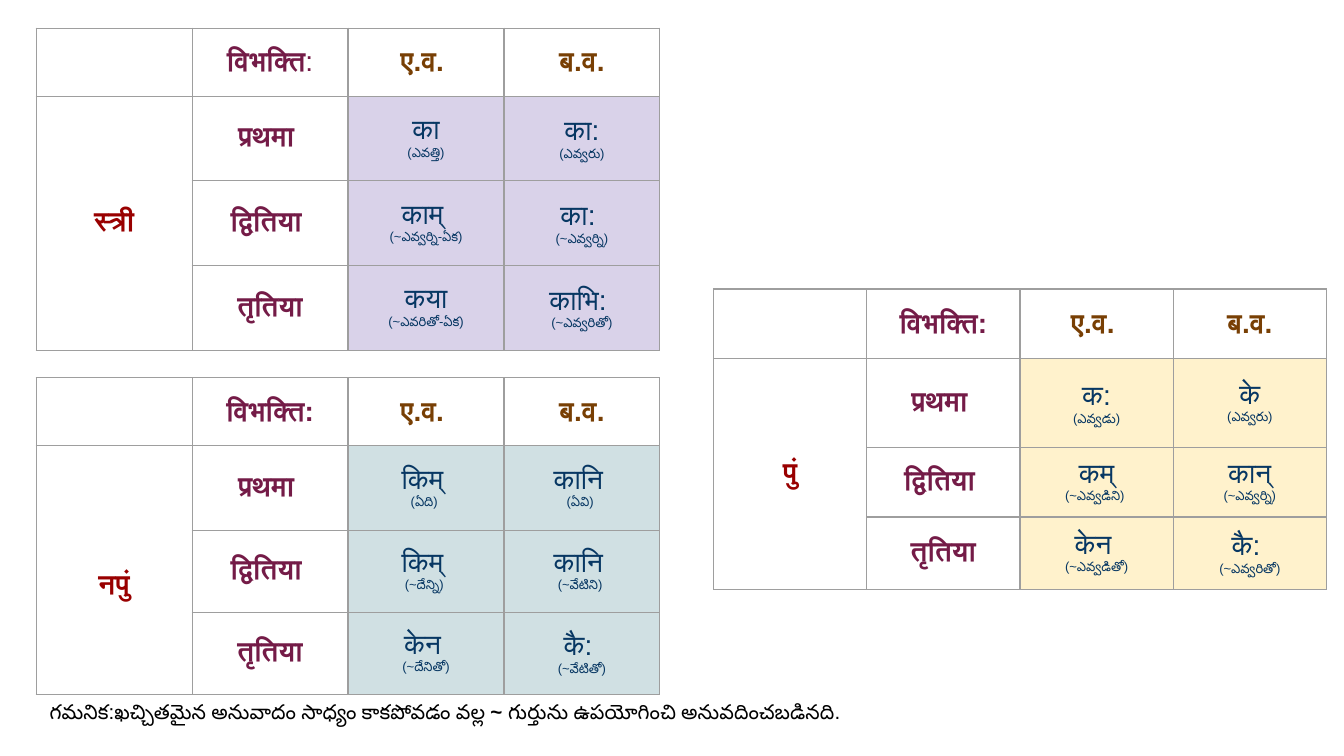
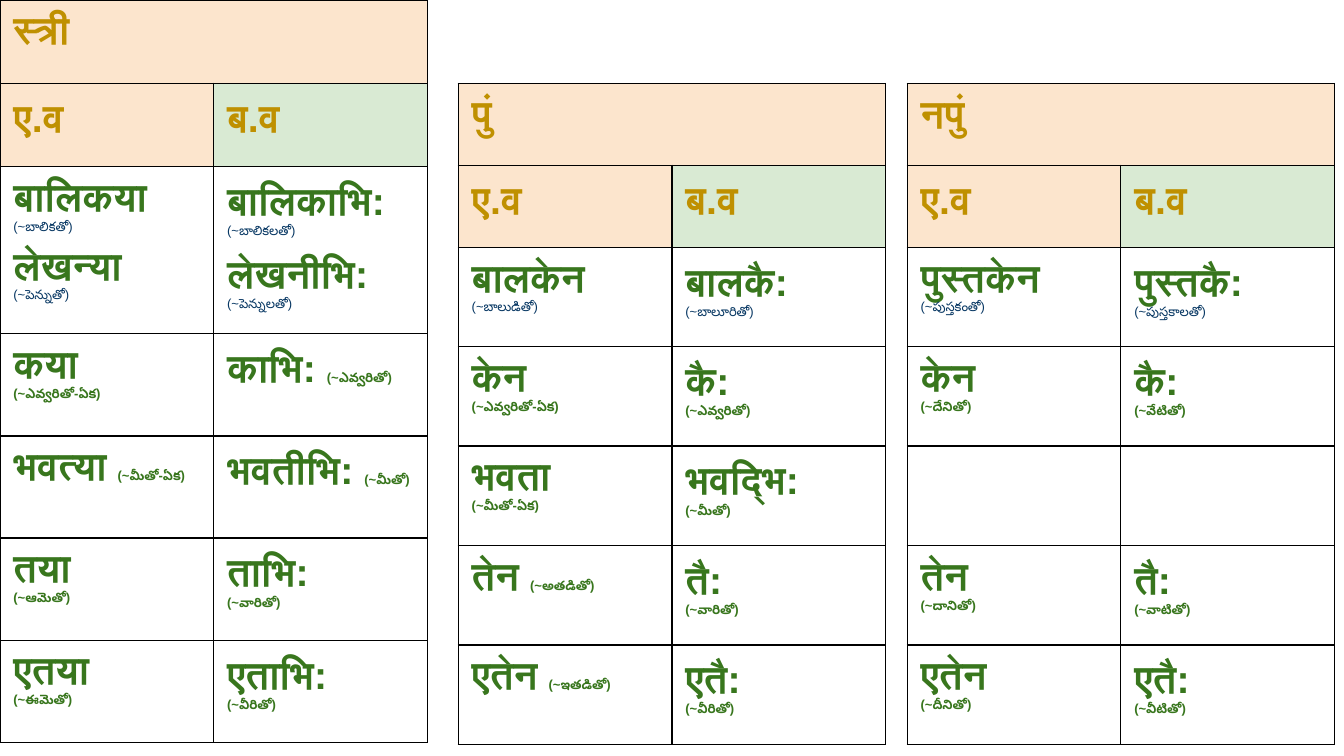
"""Build two slides of Sanskrit case tables with Telugu glosses."""
from typing import NamedTuple

from lxml.etree import SubElement as Sub
from pptx import Presentation
from pptx.dml.color import RGBColor as Rgb
from pptx.enum.text import MSO_ANCHOR as Anchor
from pptx.enum.text import MSO_AUTO_SIZE as Auto
from pptx.enum.text import PP_ALIGN as Align
from pptx.oxml.ns import qn
from pptx.util import Inches, Pt

FONT = "Arial"
HEX = {
    "plum": "741B47", "brown": "783F04", "red": "990000", "navy": "073763",
    "lilac": "D9D2E9", "teal": "D0E0E3", "cream": "FFF2CC", "grey": "9E9E9E",
    "gold": "BF9000", "green": "38761D", "peach": "FCE5CD", "mint": "D9EAD3",
    "black": "000000",
}
WIDE = Inches(10)
PAD = Inches(0.1)
CASES = ("प्रथमा ", "द्वितिया ", "तृतिया")


class Style(NamedTuple):
    size: float
    color: str
    bold: bool = True


class Part(NamedTuple):
    text: str
    style: Style


class Case(NamedTuple):
    """A table of three cases for one gender."""
    left: float
    top: float
    width: float
    rows: tuple[float, ...]
    gender: str
    fill: str
    forms: tuple[tuple[str, str], ...]
    colon: bool = True
    drop: float = 0


class Word(NamedTuple):
    """A table of instrumental forms for one gender."""
    left: float
    top: float
    rows: tuple[float, ...]
    gender: str
    forms: tuple[tuple[str, str], ...]


LABEL = Style(15, "plum")
COUNT = Style(15, "brown")
KIND = Style(15, "red")
FORM = Style(15, "navy", False)
GLOSS = Style(7, "navy", False)
TITLE = Style(21, "gold")
TERM = Style(21, "green")
HINT = Style(7, "green")
NOTE = Style(11, "black", False)

CASE_SET = (
    Case(5.31, 2.15, 1.14, (0.52, 0.66, 0.41, 0.41), "पुं", "cream", (
        ("क:\n(ఎవ్వడు)", "के\n(ఎవ్వరు)"),
        ("कम्\n(~ఎవ్వడిని) ", "कान्\n(~ఎవ్వర్ని)"),
        ("केन \n(~ఎవ్వడితో)", "कै: \n(~ఎవ్వరితో)"))),
    Case(0.27, 0.21, 1.16, (0.49, 0.63, 0.63, 0.63), "स्त्री", "lilac", (
        ("का\n(ఎవత్తి)", "का:\n(ఎవ్వరు)"),
        ("काम् \n(~ఎవ్వర్ని-ఏక)", "का: \n(~ఎవ్వర్ని)"),
        ("कया\n(~ఎవరితో-ఏక)", "काभि: \n(~ఎవ్వరితో)")), colon=False),
    Case(0.27, 2.81, 1.16, (0.5, 0.63, 0.61, 0.61), "नपुं", "teal", (
        ("किम् \n(ఏది) ", "कानि \n(ఏవి) "),
        ("किम् \n(~దేన్ని) ", "कानि \n(~వేటిని) "),
        ("केन \n(~దేనితో)", "कै: \n(~వేటితో)")), drop=0.24),
)

LOW = (0.61,) * 2 + (0.74,) * 5
WORD_SET = (
    Word(0, 0, (0.62, 0.62, 1.24) + (0.76,) * 4, "स्त्री", (
        ("बालिकया\n(~బాలికతో)\nलेखन्या\n(~పెన్నుతో)",
         "बालिकाभि:\n(~బాలికలతో)\nलेखनीभि:\n(~పెన్నులతో)"),
        ("कया\n(~ఎవ్వరితో-ఏక)", "काभि: (~ఎవ్వరితో)"),
        ("भवत्या (~మీతో-ఏక)", "भवतीभि: (~మీతో)"),
        ("तया\n(~ఆమెతో)", "ताभि:\n(~వారితో)"),
        ("एतया\n(~ఈమెతో)", "एताभि:\n(~వీరితో)"))),
    Word(3.41, 0.62, LOW, "पुं", (
        ("बालकेन\n(~బాలుడితో)", "बालकै:\n(~బాలూరితో)"),
        ("केन\n(~ఎవ్వరితో-ఏక)", "कै:\n(~ఎవ్వరితో)"),
        ("भवता\n(~మీతో-ఏక)", "भवद्भि:\n(~మీతో)"),
        ("तेन (~అతడితో)", "तै:\n(~వారితో)"),
        ("एतेन (~ఇతడితో)", "एतै:\n(~వీరితో)"))),
    Word(6.75, 0.62, LOW, "नपुं", (
        ("पुस्तकेन\n(~పుస్తకంతో)", "पुस्तकै:\n(~పుస్తకాలతో)"),
        ("केन\n(~దేనితో)", "कै:\n(~వేటితో)"),
        ("", ""),
        ("तेन\n(~దానితో)", "तै:\n(~వాటితో)"),
        ("एतेन\n(~దీనితో)", "एतै:\n(~వీటితో)"))),
)


def dress(run, style: Style) -> None:
    font = run.font
    font.size, font.bold, font.name = Pt(style.size), style.bold, FONT
    font.color.rgb = Rgb.from_string(HEX[style.color])


def fill_par(par, parts: list[Part], align: Align) -> None:
    par.alignment = align
    par.text = parts[0].text
    for part in parts[1:]:
        par.add_run().text = part.text
    for run, part in zip(par.runs, parts):
        dress(run, part.style)


def write(frame, text: str, main: Style, small: Style, align: Align) -> None:
    """Set each line, with bracketed glosses in the small style."""
    frame.text = text
    after = False
    for par, line in zip(frame.paragraphs, text.split("\n")):
        head, mark, tail = line.partition("(")
        pair = (Part(head, main), Part(mark + tail, small))
        parts = [part for part in pair if part.text]
        if parts:
            fill_par(par, parts, align)
        if head and after:
            par.space_before = Pt(8)
        after = not head


def edge(cell, color: str) -> None:
    props = cell._tc.get_or_add_tcPr()
    for side in "LRTB":
        line = Sub(props, qn(f"a:ln{side}"), w=str(Pt(0.75)))
        Sub(Sub(line, qn("a:solidFill")), qn("a:srgbClr"), val=HEX[color])


def paint(cell, color: str) -> None:
    cell.fill.solid()
    cell.fill.fore_color.rgb = Rgb.from_string(HEX[color])


def add_grid(slide, left: float, top: float, width: float, cols: int,
             rows: tuple[float, ...], line: str, anchor: Anchor):
    """Add a plain ruled table."""
    table = slide.shapes.add_table(
        len(rows), cols, Inches(left), Inches(top),
        Inches(width * cols), Inches(sum(rows))).table
    table.first_row = table.horz_banding = False
    for col in table.columns:
        col.width = Inches(width)
    for row, height in zip(table.rows, rows):
        row.height = Inches(height)
    for cell in table.iter_cells():
        cell.margin_left = cell.margin_right = PAD
        cell.margin_top = cell.margin_bottom = PAD
        cell.vertical_anchor = anchor
        edge(cell, line)
        cell.fill.background()
    return table


def draw_case(slide, item: Case) -> None:
    table = add_grid(slide, item.left, item.top, item.width, 4, item.rows,
                     "grey", Anchor.MIDDLE)
    mid = Align.CENTER
    title = [Part("विभक्ति:", LABEL)]
    if not item.colon:
        title = [Part("विभक्ति", LABEL), Part(":", LABEL._replace(bold=False))]
    fill_par(table.cell(0, 1).text_frame.paragraphs[0], title, mid)
    for col, name in enumerate(("ए.व. ", "ब.व."), 2):
        write(table.cell(0, col).text_frame, name, COUNT, COUNT, mid)
    side = table.cell(1, 0)
    side.merge(table.cell(3, 0))
    side.margin_top = PAD + Inches(item.drop)
    write(side.text_frame, item.gender, KIND, KIND, mid)
    for row, (name, pair) in enumerate(zip(CASES, item.forms), 1):
        write(table.cell(row, 1).text_frame, name, LABEL, LABEL, mid)
        for col, text in enumerate(pair, 2):
            cell = table.cell(row, col)
            paint(cell, item.fill)
            write(cell.text_frame, text, FORM, GLOSS, mid)


def draw_word(slide, item: Word) -> None:
    table = add_grid(slide, item.left, item.top, 1.59, 2, item.rows,
                     "black", Anchor.TOP)
    top = table.cell(0, 0)
    top.merge(table.cell(0, 1))
    paint(top, "peach")
    write(top.text_frame, item.gender, TITLE, TITLE, Align.LEFT)
    for col, (name, fill) in enumerate((("ए.व", "peach"), ("ब.व", "mint"))):
        cell = table.cell(1, col)
        paint(cell, fill)
        write(cell.text_frame, name, TITLE, TITLE, Align.LEFT)
    for row, pair in enumerate(item.forms, 2):
        small = GLOSS if row == 2 else HINT
        for col, text in enumerate(pair):
            write(table.cell(row, col).text_frame, text, TERM, small,
                  Align.LEFT)


def draw_note(slide) -> None:
    box = slide.shapes.add_textbox(Inches(0.27), Inches(5.11),
                                   Inches(7.21), Inches(0.39))
    frame = box.text_frame
    frame.word_wrap = True
    frame.auto_size = Auto.SHAPE_TO_FIT_TEXT
    frame.margin_left = frame.margin_right = PAD
    frame.margin_top = frame.margin_bottom = PAD
    fill_par(frame.paragraphs[0], [
        Part("గమనిక:ఖచ్చితమైన అనువాదం సాధ్యం కాకపోవడం వల్ల ", NOTE),
        Part("~", NOTE._replace(bold=True)),
        Part(" గుర్తును ఉపయోగించి అనువదించబడినది.", NOTE)], Align.LEFT)


def main() -> None:
    deck = Presentation()
    deck.slide_width, deck.slide_height = WIDE, WIDE * 9 // 16
    blank = deck.slide_layouts[6]
    first = deck.slides.add_slide(blank)
    for item in CASE_SET:
        draw_case(first, item)
    draw_note(first)
    second = deck.slides.add_slide(blank)
    for item in WORD_SET:
        draw_word(second, item)
    deck.save("out.pptx")


if __name__ == "__main__":
    main()
